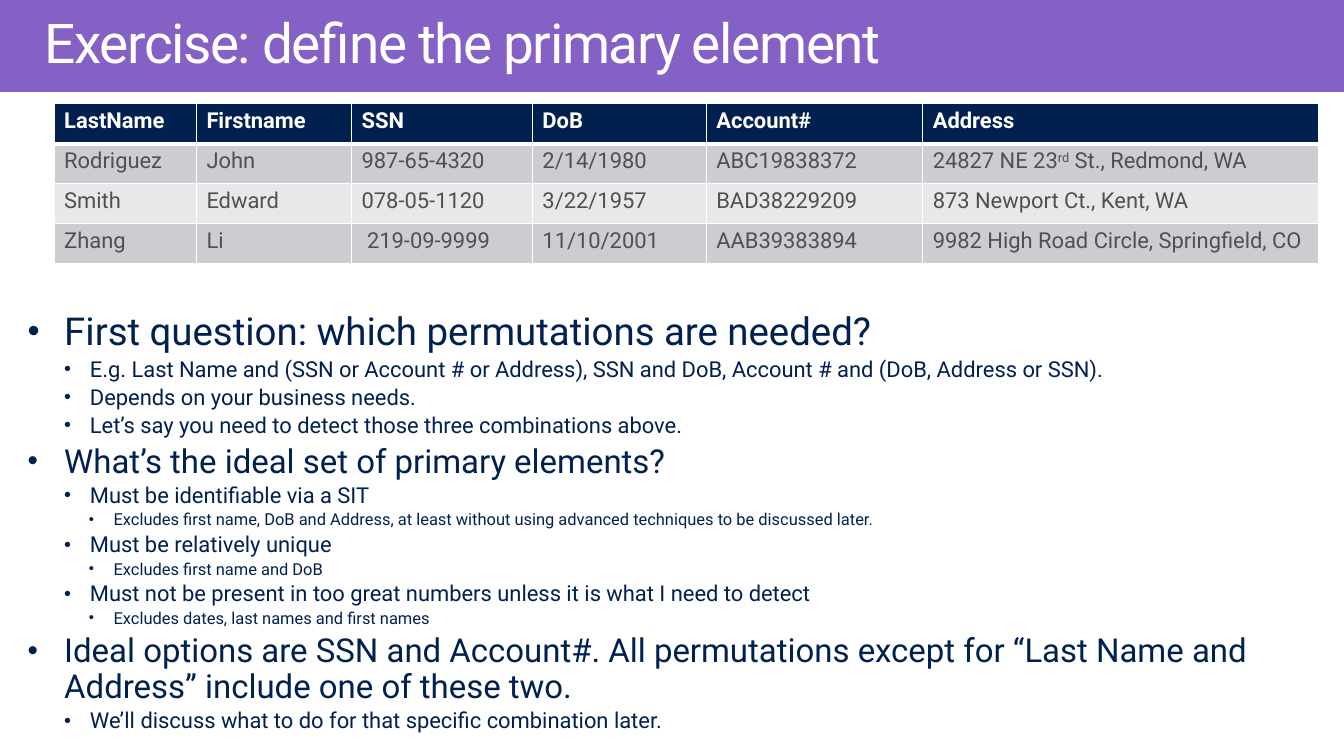
from lxml.etree import SubElement
from pptx import Presentation
from pptx.dml.color import RGBColor
from pptx.enum.text import MSO_ANCHOR as Anchor, MSO_AUTO_SIZE as AutoSize, PP_ALIGN as Align
from pptx.oxml.ns import qn
from pptx.util import Pt

PX = 9144
FONT = "Roboto"
COLORS = {
    "purple": "8661C5",
    "navy": "002050",
    "white": "FFFFFF",
    "grey": "505050",
    "band_dark": "CCCDD0",
    "band_light": "E7E8E9",
}
TITLE = "Exercise: define the primary element"
COLUMN_WIDTHS = [144, 157, 183, 176, 219, 400]
RECORDS = [
    ["LastName", "Firstname", "SSN", "DoB", "Account#", "Address"],
    ["Rodriguez", "John", "987-65-4320", "2/14/1980", "ABC19838372",
     ("24827 NE 23", "rd", " St., Redmond, WA")],
    ["Smith", "Edward", "078-05-1120", "3/22/1957", "BAD38229209",
     "873 Newport Ct., Kent, WA"],
    ["Zhang", "Li", " 219-09-9999", "11/10/2001", "AAB39383894",
     "9982 High Road Circle, Springfield, CO"],
]
INDENTS = [(37, -37), (63, -26), (87, -25)]
BULLETS = [
    (0, 28, "First question: which permutations are needed?"),
    (1, 16, "E.g. Last Name and (SSN or Account # or Address), SSN and DoB, "
            "Account # and (DoB, Address or SSN)."),
    (1, 16, "Depends on your business needs."),
    (1, 16, "Let’s say you need to detect those three combinations above."),
    (0, 24, "What’s the ideal set of primary elements?"),
    (1, 16, "Must be identifiable via a SIT"),
    (2, 12, "Excludes first name, DoB and Address, at least without using "
            "advanced techniques to be discussed later."),
    (1, 16, "Must be relatively unique"),
    (2, 12, "Excludes first name and DoB"),
    (1, 16, "Must not be present in too great numbers unless it is what I need to detect"),
    (2, 12, "Excludes dates, last names and first names"),
    (0, 24, "Ideal options are SSN and Account#. All permutations except for "
            "“Last Name and Address” include one of these two."),
    (1, 16, "We’ll discuss what to do for that specific combination later."),
]


def rgb(name):
    """Return the named palette colour."""
    return RGBColor.from_string(COLORS[name])


def add_run(p, text, size, color, bold=False):
    """Add one formatted run to a paragraph."""
    r = p.add_run()
    r.text = text
    r.font.name = FONT
    r.font.size = Pt(size)
    r.font.bold = bold
    r.font.color.rgb = rgb(color)
    return r


def set_frame(tf, side, edge, anchor):
    """Set margins, wrapping and anchor of a text frame."""
    tf.auto_size = AutoSize.NONE
    tf.word_wrap = True
    tf.vertical_anchor = anchor
    tf.margin_left = tf.margin_right = side * PX
    tf.margin_top = tf.margin_bottom = edge * PX


def add_title(s, x, y, w, h):
    """Place the title in its full-width purple band."""
    sp = s.shapes.title
    sp.left, sp.top, sp.width, sp.height = (v * PX for v in (x, y, w, h))
    sp.fill.solid()
    sp.fill.fore_color.rgb = rgb("purple")
    set_frame(sp.text_frame, 45, 16, Anchor.TOP)
    p = sp.text_frame.paragraphs[0]
    p.alignment = Align.LEFT
    p.line_spacing = 0.9
    r = add_run(p, TITLE, 40, "white")
    r._r.get_or_add_rPr().set("spc", "-100")


def set_borders(cell, is_header, below_header):
    """Draw white cell borders, heavier under the header row."""
    tc_pr = cell._tc.get_or_add_tcPr()
    widths = {"L": 1, "R": 1, "T": 3 if below_header else 1, "B": 3 if is_header else 1}
    for side, width in widths.items():
        ln = SubElement(tc_pr, qn(f"a:ln{side}"), w=str(Pt(width)))
        fill = SubElement(ln, qn("a:solidFill"))
        SubElement(fill, qn("a:srgbClr"), val=COLORS["white"])


def fill_cell(cell, content, row):
    """Write and colour one table cell."""
    is_header = row == 0
    set_borders(cell, is_header, row == 1)
    cell.fill.solid()
    band = "band_dark" if row % 2 else "band_light"
    cell.fill.fore_color.rgb = rgb("navy" if is_header else band)
    p = cell.text_frame.paragraphs[0]
    parts = [content] if isinstance(content, str) else content
    for i, part in enumerate(parts):
        r = add_run(p, part, 16, "white" if is_header else "grey", is_header)
        if i == 1:
            r._r.get_or_add_rPr().set("baseline", "30000")


def add_records(s, x, y, w, h):
    """Place the table of personal records."""
    frame = s.shapes.add_table(len(RECORDS), len(COLUMN_WIDTHS),
                               x * PX, y * PX, w * PX, h * PX)
    table = frame.table
    for column, width in zip(table.columns, COLUMN_WIDTHS):
        column.width = width * PX
    for i, record in enumerate(RECORDS):
        table.rows[i].height = h * PX // len(RECORDS)
        for j, content in enumerate(record):
            fill_cell(table.cell(i, j), content, i)


def format_bullet(p, level, is_first):
    """Set the level, indent, spacing and bullet of a paragraph."""
    p.level = level
    p.line_spacing = 0.9
    p_pr = p._p.get_or_add_pPr()
    margin, indent = INDENTS[level]
    p_pr.set("marL", str(margin * PX))
    p_pr.set("indent", str(indent * PX))
    if not is_first:
        before = SubElement(p_pr, qn("a:spcBef"))
        SubElement(before, qn("a:spcPct"), val="20000")
    SubElement(p_pr, qn("a:buSzPct"), val="90000")
    SubElement(p_pr, qn("a:buFont"), typeface="Arial")
    SubElement(p_pr, qn("a:buChar"), char="•")


def add_bullets(s, x, y, w, h):
    """Place the three-level bullet list."""
    tf = s.shapes.add_textbox(x * PX, y * PX, w * PX, h * PX).text_frame
    set_frame(tf, 16, 10, Anchor.TOP)
    for i, (level, size, text) in enumerate(BULLETS):
        p = tf.add_paragraph() if i else tf.paragraphs[0]
        format_bullet(p, level, i == 0)
        add_run(p, text, size, "navy")


def main():
    """Build and save the slide."""
    prs = Presentation()
    prs.slide_width, prs.slide_height = 1360 * PX, 765 * PX
    s = prs.slides.add_slide(prs.slide_layouts[5])
    add_title(s, 0, 0, 1360, 93)
    add_bullets(s, 12, 306, 1335, 459)
    add_records(s, 55, 105, sum(COLUMN_WIDTHS), 162)
    prs.save("out.pptx")


if __name__ == "__main__":
    main()
